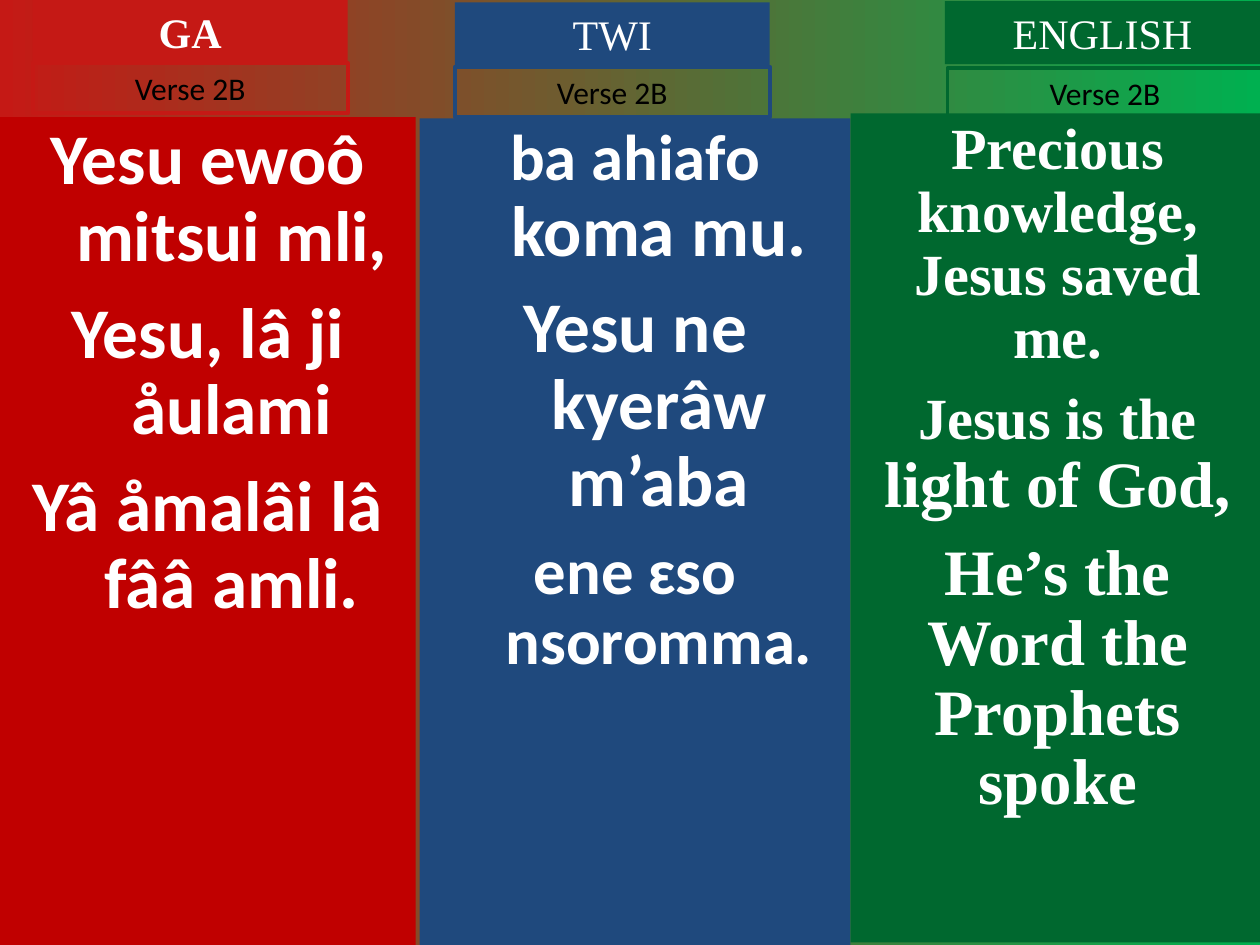
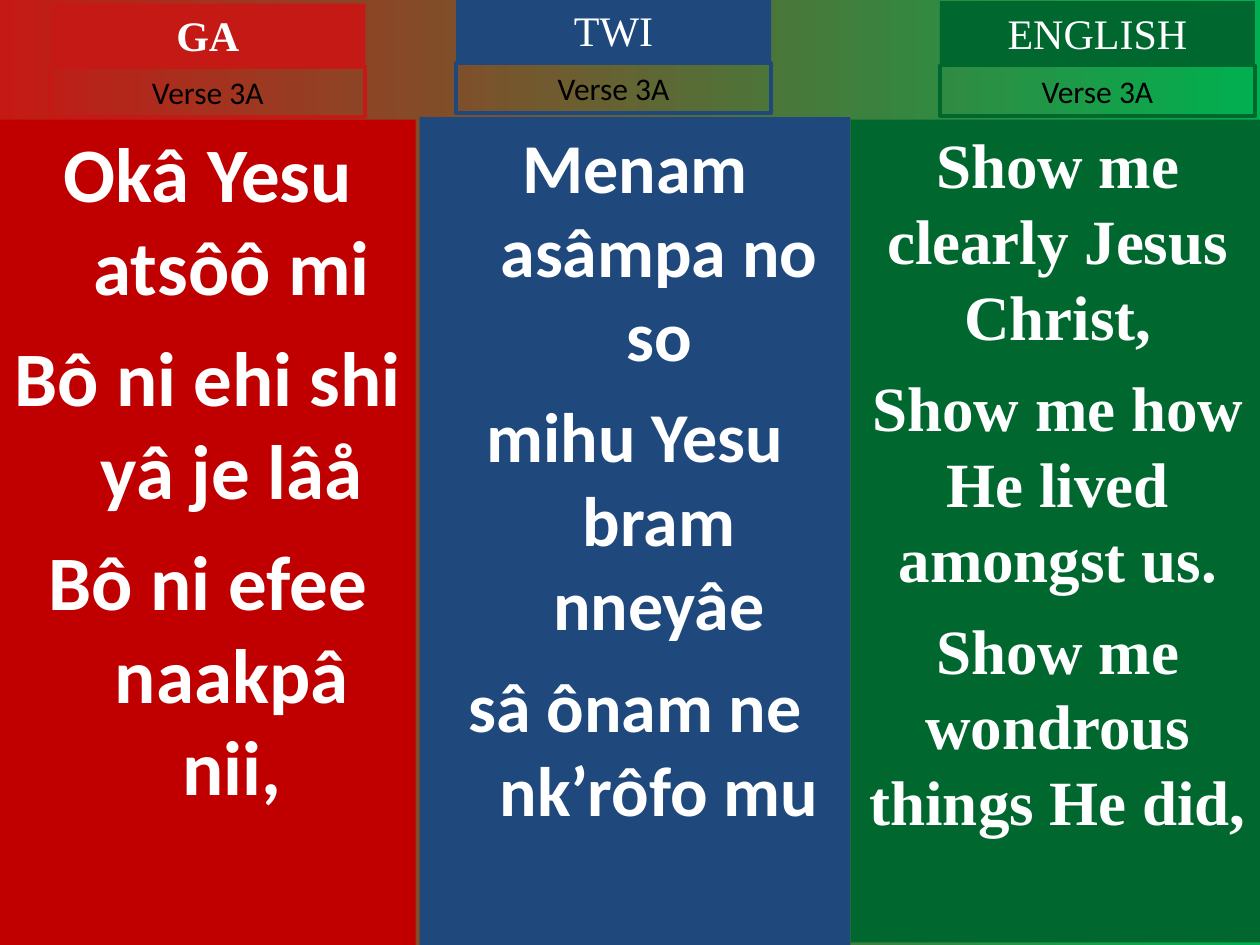
"""Build two hymn slides with a verse in Ga, Twi and English side by side."""
from dataclasses import dataclass

from pptx import Presentation
from pptx.dml.color import RGBColor
from pptx.enum.shapes import MSO_SHAPE
from pptx.enum.text import MSO_ANCHOR, PP_ALIGN
from pptx.util import Pt

RECT = MSO_SHAPE.RECTANGLE
TOP = MSO_ANCHOR.TOP
CENTER = PP_ALIGN.CENTER

PX = 9144
HANGING = 38
TAG_WIDTH, TAG_HEIGHT, VERSE_HEIGHT = 250, 50, 40
SANS, SERIF = "Calibri", "Times New Roman"
WHITE, BLACK = "FFFFFF", "000000"
RED, GREEN = "C51915", "00B050"


def rgb(value):
    return RGBColor.from_string(value)


@dataclass
class Language:
    name: str
    panel_color: str
    tag_color: str
    font: str
    left: int
    width: int
    hanging: int = 0
    bold_tag: bool = False


LANGUAGES = [
    Language("GA", "C00000", RED, SANS, 0, 330, HANGING, True),
    Language("TWI", "1F497D", "1F497D", SANS, 333, 342, HANGING),
    Language("ENGLISH", "00682F", "00682F", SERIF, 675, 329),
]

VERSES = [
    {
        "label": "Verse 2B", "scale": 0.925, "spacing": 0.9,
        "panels": [(93, 657), (94, 656), (90, 658)],
        "tags": [(26, 0), (361, 2), (750, 1)],
        "labels": [(26, 50), (361, 53), (752, 54)],
        "lyrics": [
            [[("Yesu ewoô mitsui mli,", 44)],
             [("Yesu, lâ ji åulami", 44)],
             [("Yâ åmalâi lâ fââ amli.", 44)]],
            [[("ba ahiafo ", 40), ("koma mu.", 44)],
             [("Yesu ne kyerâw m’aba", 44)],
             [("ene ɛso nsoromma.", 40)]],
            [[("Precious knowledge, Jesus saved me.", 36)],
             [("Jesus is the ", 36), ("light of God,", 40)],
             [("He’s the Word the Prophets spoke", 40)]],
        ],
    },
    {
        "label": "Verse 3A", "scale": 1, "spacing": 1,
        "panels": [(95, 655), (93, 657), (95, 653)],
        "tags": [(40, 3), (362, -1), (746, 1)],
        "labels": [(40, 53), (362, 50), (746, 52)],
        "lyrics": [
            [[("Okâ Yesu atsôô mi", 44)],
             [("Bô ni ehi shi yâ je lâå", 44)],
             [("Bô ni efee naakpâ nii,", 44)]],
            [[("Menam asâmpa no so", 40)],
             [("mihu Yesu bram nneyâe", 40)],
             [("sâ ônam ne nk’rôfo mu", 40)]],
            [[("Show me clearly Jesus Christ,", 36)],
             [("Show me how He lived amongst us.", 36)],
             [("Show me wondrous things He did,", 36)]],
        ],
    },
]


class HymnDeck:
    def __init__(self):
        self.deck = Presentation()
        self.deck.slide_width = 1000 * PX
        self.deck.slide_height = 750 * PX
        self.slide = None

    def add_slide(self):
        self.slide = self.deck.slides.add_slide(self.deck.slide_layouts[6])
        backdrop = self.slide.background.fill
        backdrop.gradient()
        backdrop.gradient_angle = 0
        for stop, color in zip(backdrop.gradient_stops, (RED, GREEN)):
            stop.color.rgb = rgb(color)

    def box(self, left, top, width, height, fill=None, line=None):
        box = self.slide.shapes.add_shape(
            RECT, left * PX, top * PX, width * PX, height * PX)
        box.shadow.inherit = False
        if fill:
            box.fill.solid()
            box.fill.fore_color.rgb = rgb(fill)
        else:
            box.fill.background()
        if line:
            box.line.color.rgb = rgb(line)
            box.line.width = Pt(2.25)
        else:
            box.line.fill.background()
        frame = box.text_frame
        frame.word_wrap = True
        frame.vertical_anchor = TOP
        return frame

    def style(self, paragraph, font, color, bold, size=None):
        paragraph.alignment = CENTER
        paragraph.font.name = font
        paragraph.font.bold = bold
        paragraph.font.color.rgb = rgb(color)
        if size:
            paragraph.font.size = Pt(size)

    def caption(self, frame, text, font, color, size, bold=False):
        paragraph = frame.paragraphs[0]
        paragraph.text = text
        self.style(paragraph, font, color, bold, size)

    def tag(self, language, left, top):
        frame = self.box(left, top, TAG_WIDTH, TAG_HEIGHT, fill=language.tag_color)
        self.caption(frame, language.name, SERIF, WHITE, 24, language.bold_tag)

    def verse_label(self, language, left, top, text):
        frame = self.box(left, top, TAG_WIDTH, VERSE_HEIGHT, line=language.tag_color)
        self.caption(frame, text, SANS, BLACK, 18)

    def lyrics(self, language, top, height, lines, scale, spacing):
        frame = self.box(language.left, top, language.width, height,
                         fill=language.panel_color)
        for index, phrases in enumerate(lines):
            paragraph = frame.add_paragraph() if index else frame.paragraphs[0]
            indents = paragraph._p.get_or_add_pPr()
            indents.set("marL", str(language.hanging * PX))
            indents.set("indent", str(-language.hanging * PX))
            paragraph.line_spacing = float(spacing)
            if index:
                paragraph.space_before = Pt(max(size for _, size in phrases) / 4)
            self.style(paragraph, language.font, WHITE, True)
            for text, size in phrases:
                phrase = paragraph.add_run()
                phrase.text = text
                phrase.font.size = Pt(size * scale)

    def verse(self, verse):
        self.add_slide()
        columns = zip(LANGUAGES, verse["panels"], verse["tags"],
                      verse["labels"], verse["lyrics"])
        for language, panel, tag, label, lines in columns:
            self.lyrics(language, *panel, lines, verse["scale"], verse["spacing"])
            self.tag(language, *tag)
            self.verse_label(language, *label, verse["label"])


def main():
    hymn = HymnDeck()
    for verse in VERSES:
        hymn.verse(verse)
    hymn.deck.save("out.pptx")


if __name__ == "__main__":
    main()
